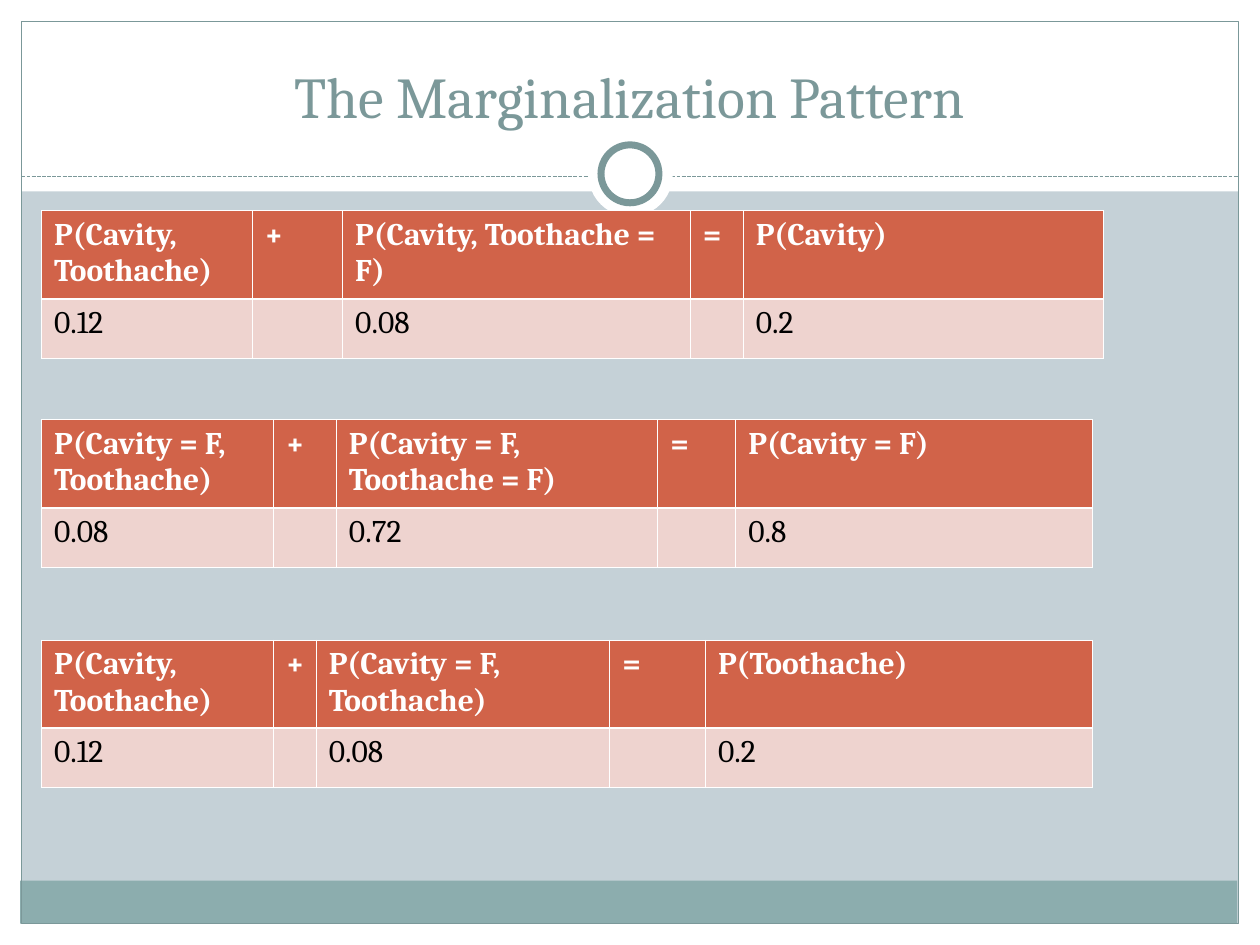
from dataclasses import dataclass

from lxml import etree
from pptx import Presentation
from pptx.dml.color import RGBColor
from pptx.enum import dml, shapes, text
from pptx.oxml.ns import qn
from pptx.util import Inches, Pt


@dataclass(frozen=True)
class Theme:
    font: str = "Cambria"
    title_size: float = 33
    table_size: float = 18
    background: str = "C5D1D7"
    white: str = "FFFFFF"
    black: str = "000000"
    accent: str = "7B9899"
    footer: str = "8CADAE"
    header: str = "D16349"
    body: str = "EED3CF"
    thin: float = 0.45
    thick: float = 1.47


THEME = Theme()
SHAPE = shapes.MSO_SHAPE
TABLE_LEFT = 0.33
ROW_HEIGHTS = (0.7, 0.47)

# top, column widths, three terms of the sum, their values
SUMS = [
    (1.67, (1.67, 0.72, 2.76, 0.42, 2.86),
     ("P(Cavity, Toothache)", "P(Cavity, Toothache = F)", "P(Cavity)"),
     ("0.12", "0.08", "0.2")),
    (5.08, (1.84, 0.34, 2.33, 0.76, 3.07),
     ("P(Cavity, Toothache)", "P(Cavity = F, Toothache)", "P(Toothache)"),
     ("0.12", "0.08", "0.2")),
    (3.33, (1.84, 0.5, 2.55, 0.62, 2.83),
     ("P(Cavity = F, Toothache)", "P(Cavity = F, Toothache = F)", "P(Cavity = F)"),
     ("0.08", "0.72", "0.8")),
]


def rgb(value):
    return RGBColor.from_string(value)


def set_font(paragraph, size, color, bold=False):
    font = paragraph.font
    font.name, font.size, font.bold = THEME.font, Pt(size), bold
    font.color.rgb = rgb(color)


def add_figure(slide, kind, box, fill=None, line_width=None):
    figure = slide.shapes.add_shape(kind, *map(Inches, box))
    figure.shadow.inherit = False
    if fill:
        figure.fill.solid()
        figure.fill.fore_color.rgb = rgb(fill)
    else:
        figure.fill.background()
    if line_width:
        figure.line.color.rgb = rgb(THEME.accent)
        figure.line.width = Pt(line_width)
    else:
        figure.line.fill.background()


def add_divider(slide):
    divider = slide.shapes.add_connector(
        shapes.MSO_CONNECTOR.STRAIGHT,
        Inches(0.17), Inches(1.4), Inches(9.83), Inches(1.4))
    divider.line.color.rgb = rgb(THEME.accent)
    divider.line.width = Pt(0.75)
    divider.line.dash_style = dml.MSO_LINE.SQUARE_DOT
    etree.SubElement(divider._element.spPr, qn("a:effectLst"))


def add_frame(slide):
    """Draw the white margins, footer band, border and ring around the content."""
    for box in [(0, 7.33, 10, 0.17), (0, 0, 10, 1.52),
                (0, 0, 0.17, 7.5), (9.83, 0, 0.17, 7.5)]:
        add_figure(slide, SHAPE.RECTANGLE, box, THEME.white)
    add_figure(slide, SHAPE.RECTANGLE, (0.16, 6.99, 9.66, 0.34), THEME.footer)
    add_figure(slide, SHAPE.RECTANGLE, (0.17, 0.17, 9.66, 7.16), line_width=0.75)
    add_divider(slide)
    add_figure(slide, SHAPE.OVAL, (4.67, 1.05, 0.67, 0.67), THEME.white)
    add_figure(slide, SHAPE.OVAL, (4.77, 1.15, 0.46, 0.46), THEME.white, 4)


def add_title(slide, wording):
    box = slide.shapes.add_textbox(*map(Inches, (0.33, 0.25, 9.33, 0.83)))
    frame = box.text_frame
    frame.word_wrap = True
    frame.vertical_anchor = text.MSO_ANCHOR.BOTTOM
    title = frame.paragraphs[0]
    title.text = wording
    title.alignment = text.PP_ALIGN.CENTER
    set_font(title, THEME.title_size, THEME.accent)


def set_borders(cell, widths):
    """Draw white cell borders; widths maps an edge tag to points."""
    properties = cell._tc.get_or_add_tcPr()
    for edge, width in widths.items():
        line = etree.SubElement(properties, qn(f"a:{edge}"), w=str(Pt(width)))
        fill = etree.SubElement(line, qn("a:solidFill"))
        etree.SubElement(fill, qn("a:srgbClr"), val=THEME.white)


def style_cell(cell, wording, is_header):
    thin, thick = THEME.thin, THEME.thick
    set_borders(cell, {"lnL": thin, "lnR": thin,
                       "lnT": thin if is_header else thick,
                       "lnB": thick if is_header else thin})
    cell.fill.solid()
    cell.fill.fore_color.rgb = rgb(THEME.header if is_header else THEME.body)
    cell.text = wording
    set_font(cell.text_frame.paragraphs[0], THEME.table_size,
             THEME.white if is_header else THEME.black, bold=is_header)


def add_sum_table(slide, top, widths, terms, values):
    table = slide.shapes.add_table(
        2, len(widths), Inches(TABLE_LEFT), Inches(top),
        Inches(sum(widths)), Inches(sum(ROW_HEIGHTS))).table
    for column, width in zip(table.columns, widths):
        column.width = Inches(width)
    first, second, total = terms
    left, right, result = values
    rows = [(first, "+", second, "=", total), (left, "", right, "", result)]
    for index, (row, height, wordings) in enumerate(
            zip(table.rows, ROW_HEIGHTS, rows)):
        row.height = Inches(height)
        for cell, wording in zip(row.cells, wordings):
            style_cell(cell, wording, is_header=index == 0)


def main():
    deck = Presentation()
    deck.slide_width, deck.slide_height = Inches(10), Inches(7.5)
    slide = deck.slides.add_slide(deck.slide_layouts[6])
    slide.background.fill.solid()
    slide.background.fill.fore_color.rgb = rgb(THEME.background)
    add_frame(slide)
    add_title(slide, "The Marginalization Pattern")
    for marginal in SUMS:
        add_sum_table(slide, *marginal)
    deck.save("out.pptx")


if __name__ == "__main__":
    main()
